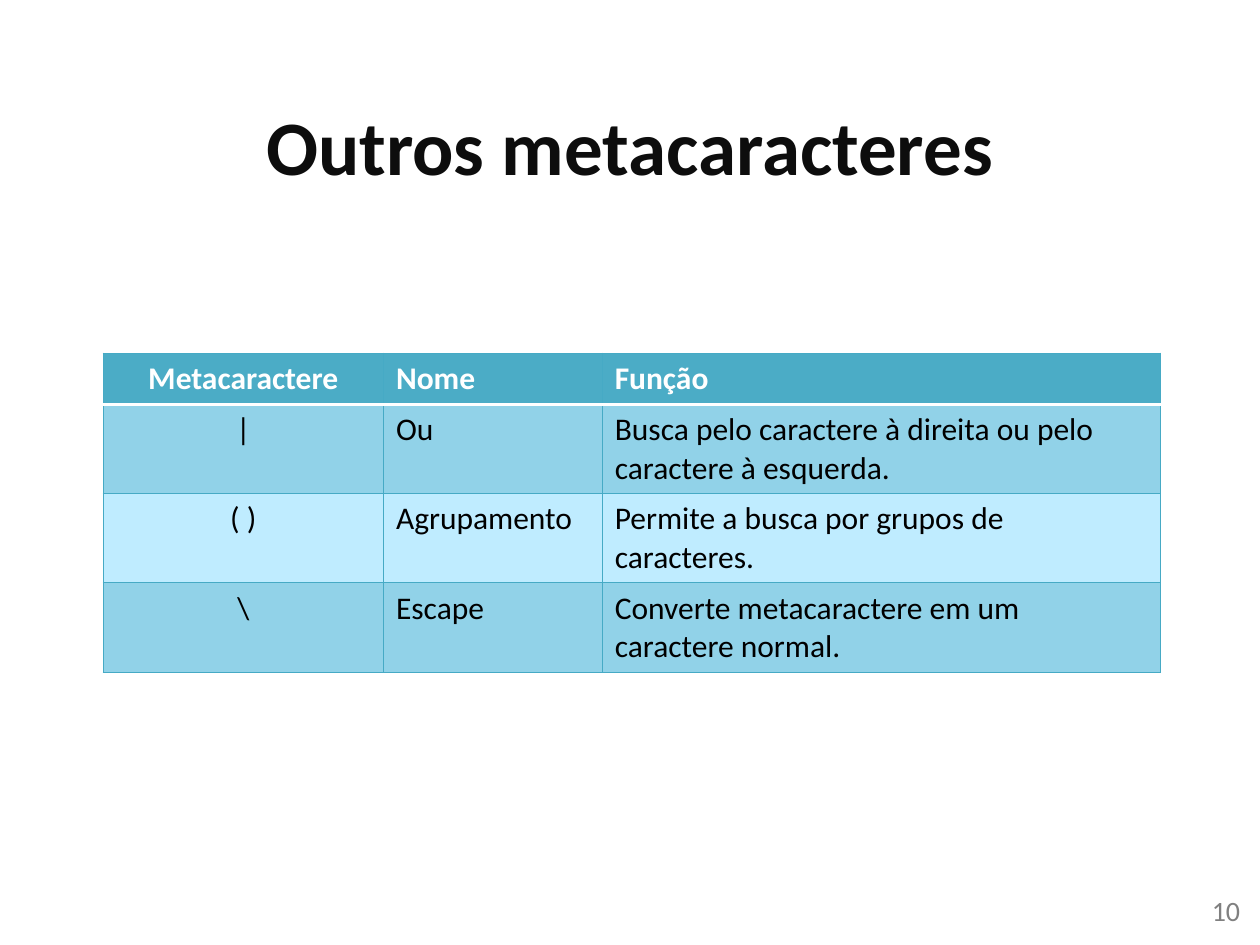
from pptx import Presentation
from pptx.dml.color import RGBColor
from pptx.enum.text import MSO_ANCHOR as ANCHOR, PP_ALIGN as ALIGN
from pptx.oxml.ns import qn
from pptx.util import Cm, Pt
from lxml.etree import SubElement

rgb = RGBColor.from_string


def write(tf, text, size=18, color="000000", bold=False, align=ALIGN.LEFT,
          anchor=ANCHOR.TOP):
    """Fill a text frame, one paragraph per line of text."""
    tf.word_wrap = True
    tf.vertical_anchor = anchor
    tf.text = text
    for p in tf.paragraphs:
        p.alignment = align
        for r in p.runs:
            r.font.name = "Calibri"
            r.font.size = Pt(size)
            r.font.bold = bold
            r.font.color.rgb = rgb(color)


def set_border(cell, side, color, width):
    ln = SubElement(cell._tc.get_or_add_tcPr(), qn(f"a:ln{side}"), w=str(Pt(width)))
    fill = SubElement(ln, qn("a:solidFill"))
    SubElement(fill, qn("a:srgbClr"), val=color)


prs = Presentation()
prs.slide_width, prs.slide_height = Cm(25.4), Cm(19.05)
s = prs.slides.add_slide(prs.slide_layouts[6])

title = s.shapes.add_textbox(Cm(1.27), Cm(1.32), Cm(22.86), Cm(3.18))
write(title.text_frame, "Outros metacaracteres", size=44, color="0D0D0D", bold=True,
      align=ALIGN.CENTER, anchor=ANCHOR.MIDDLE)

page_number = s.shapes.add_textbox(Cm(19.33), Cm(17.88), Cm(5.92), Cm(1.02))
write(page_number.text_frame, "10", size=16, color="808080", align=ALIGN.RIGHT)

rows = [
    ("Metacaractere", "Nome", "Função"),
    ("|", "Ou", "Busca pelo caractere à direita ou pelo caractere à esquerda."),
    ("( )", "Agrupamento", "Permite a busca por grupos de\ncaracteres."),
    ("\\", "Escape", "Converte metacaractere em um\ncaractere normal."),
]
col_widths = [5.65, 4.41, 11.25]
header_height, body_height = 1.03, 1.8
HEADER, DARK, LIGHT = "4BACC6", "91D2E8", "BFECFF"
GRID, RULE = ("46AAC5", 0.75), ("FFFFFF", 2)

table = s.shapes.add_table(
    len(rows), len(col_widths), Cm(2.08), Cm(7.12), Cm(sum(col_widths)),
    Cm(header_height + body_height * (len(rows) - 1))).table
for col, width in zip(table.columns, col_widths):
    col.width = Cm(width)

for i, texts in enumerate(rows):
    header = i == 0
    table.rows[i].height = Cm(header_height if header else body_height)
    borders = {"L": GRID, "R": GRID,
               "T": RULE if i == 1 else GRID,
               "B": RULE if header else GRID}
    for j, text in enumerate(texts):
        cell = table.cell(i, j)
        for side, (color, width) in borders.items():
            set_border(cell, side, color, width)
        cell.fill.solid()
        cell.fill.fore_color.rgb = rgb(HEADER if header else DARK if i % 2 else LIGHT)
        write(cell.text_frame, text, color="FFFFFF" if header else "000000",
              bold=header, align=ALIGN.CENTER if j == 0 else ALIGN.LEFT)

prs.save("out.pptx")
